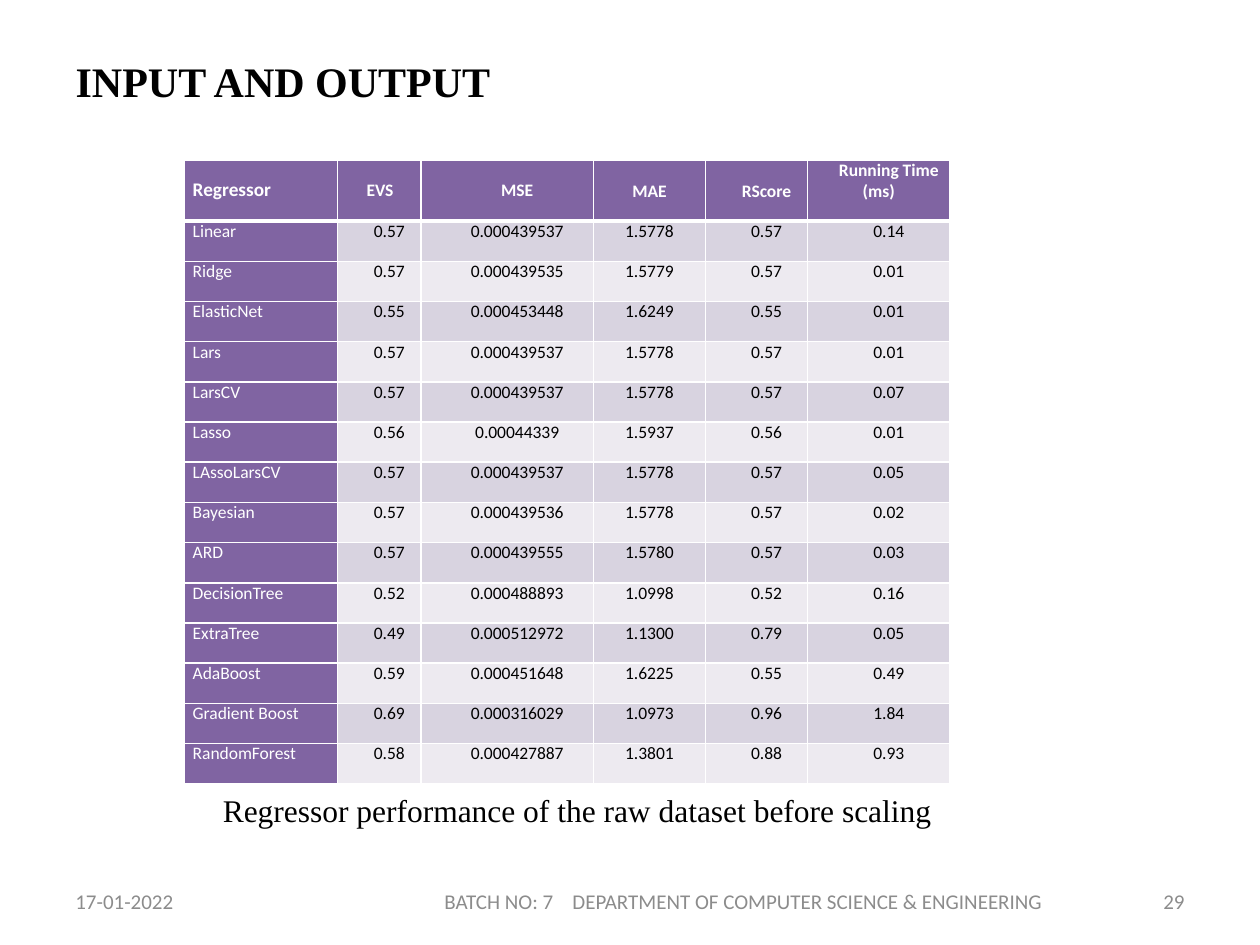
from dataclasses import dataclass

from lxml import etree
from pptx import Presentation
from pptx import util as u
from pptx.dml.color import RGBColor
from pptx.enum import text
from pptx.oxml.ns import qn

LEFT, CENTER, RIGHT = text.PP_ALIGN.LEFT, text.PP_ALIGN.CENTER, text.PP_ALIGN.RIGHT
TOP, MIDDLE = text.MSO_ANCHOR.TOP, text.MSO_ANCHOR.MIDDLE


@dataclass(frozen=True)
class Theme:
    """Colours, fonts and type sizes of the slide."""
    serif: str = "Times New Roman"
    sans: str = "Calibri"
    ink: str = "000000"
    grey: str = "8C8C8C"
    white: str = "FFFFFF"
    accent: str = "8064A2"
    bands: tuple = ("D8D3E0", "EDEAF0")
    title: int = 24
    caption: int = 18
    footer: int = 12
    head: int = 11
    body: int = 10


T = Theme()
WIDTH, HEIGHT = u.Inches(10), u.Inches(7.5)
COLUMNS = (1.22, 0.66, 1.37, 0.89, 0.81, 1.13)
HEAD_SHARE = 0.097
INDENTS = (-0.01, 0.16, 0.16, -0.01, 0.16, 0.16)
HEADERS = ("Regressor", "EVS", "MSE", "MAE", "RScore", "Running Time (ms)")
ROWS = (
    ("Linear", "0.57", "0.000439537", "1.5778", "0.57", "0.14"),
    ("Ridge", "0.57", "0.000439535", "1.5779", "0.57", "0.01"),
    ("ElasticNet", "0.55", "0.000453448", "1.6249", "0.55", "0.01"),
    ("Lars", "0.57", "0.000439537", "1.5778", "0.57", "0.01"),
    ("LarsCV", "0.57", "0.000439537", "1.5778", "0.57", "0.07"),
    ("Lasso", "0.56", "0.00044339", "1.5937", "0.56", "0.01"),
    ("LAssoLarsCV", "0.57", "0.000439537", "1.5778", "0.57", "0.05"),
    ("Bayesian", "0.57", "0.000439536", "1.5778", "0.57", "0.02"),
    ("ARD", "0.57", "0.000439555", "1.5780", "0.57", "0.03"),
    ("DecisionTree", "0.52", "0.000488893", "1.0998", "0.52", "0.16"),
    ("ExtraTree", "0.49", "0.000512972", "1.1300", "0.79", "0.05"),
    ("AdaBoost", "0.59", "0.000451648", "1.6225", "0.55", "0.49"),
    ("Gradient Boost", "0.69", "0.000316029", "1.0973", "0.96", "1.84"),
    ("RandomForest", "0.58", "0.000427887", "1.3801", "0.88", "0.93"),
)


def box(x, y, w, h):
    """Turn shares of the slide into a left, top, width, height box."""
    return int(x * WIDTH), int(y * HEIGHT), int(w * WIDTH), int(h * HEIGHT)


def style(p, font, size, color, bold=False, align=LEFT):
    """Format a paragraph and its font."""
    p.alignment = align
    f = p.font
    f.name, f.size, f.bold = font, u.Pt(size), bold
    f.color.rgb = RGBColor.from_string(color)


def add_title(s, area, words):
    """Place the title placeholder in its box."""
    sp = s.shapes.title
    sp.left, sp.top, sp.width, sp.height = area
    tf = sp.text_frame
    tf.text, tf.vertical_anchor, tf.word_wrap = words, TOP, True
    tf.auto_size = text.MSO_AUTO_SIZE.NONE
    style(tf.paragraphs[0], T.serif, T.title, T.ink, True)


def add_text(s, area, words, font, size, color, align=LEFT, anchor=TOP):
    """Add a wrapped one-paragraph text box and return its paragraph."""
    tf = s.shapes.add_textbox(*area).text_frame
    tf.word_wrap, tf.vertical_anchor = True, anchor
    p = tf.paragraphs[0]
    p.text = words
    style(p, font, size, color, align=align)
    return p


def add_footer(s, area):
    """Place date, department and page number along the footer band."""
    x, y, w, h = area
    look = dict(font=T.sans, size=T.footer, color=T.grey, anchor=MIDDLE)
    side = int(0.26 * w)
    add_text(s, (x, y, side, h), "17-01-2022", **look)
    p = add_text(s, (x + int(0.324 * w), y, int(0.552 * w), h), "BATCH NO: 7",
                 align=CENTER, **look)
    gap = p.add_run()
    gap.text = " "
    gap._r.get_or_add_rPr().set("spc", "810")
    p.add_run().text = "DEPARTMENT OF COMPUTER SCIENCE & ENGINEERING"
    add_text(s, (x + w - side, y, side, h), "29", align=RIGHT, **look)


def set_borders(cell, bottom):
    """Draw white borders, with the given width at the bottom."""
    tc_pr = cell._tc.get_or_add_tcPr()
    for i, (tag, width) in enumerate((("lnL", 1), ("lnR", 1), ("lnT", 1), ("lnB", bottom))):
        ln = etree.Element(qn("a:" + tag), w=str(u.Pt(width)))
        fill = etree.SubElement(ln, qn("a:solidFill"))
        etree.SubElement(fill, qn("a:srgbClr"), val=T.white)
        tc_pr.insert(i, ln)


def fill_cell(cell, words, row, col):
    """Write and format one table cell by its row and column."""
    head, label = row == 0, col == 0
    strong = head or label
    cell.margin_left = cell.margin_right = u.Inches(0.07)
    cell.margin_top = u.Pt(12) if head and col in (3, 4) else 0
    cell.margin_bottom = 0
    cell.vertical_anchor = MIDDLE if head and col < 3 else TOP
    cell.fill.solid()
    cell.fill.fore_color.rgb = RGBColor.from_string(
        T.accent if strong else T.bands[(row - 1) % 2])
    set_borders(cell, 3 if head else 1)
    p = cell.text_frame.paragraphs[0]
    p.text = words
    p.line_spacing = u.Pt(12)
    p._p.get_or_add_pPr().set("indent", str(u.Inches(INDENTS[col])))
    left = label or (head and col == 1)
    style(p, T.sans, T.head if head and label else T.body,
          T.white if strong else T.ink, head, LEFT if left else CENTER)


def add_results(s, area):
    """Add the table of regressor scores in its box."""
    x, y, w, h = area
    data = (HEADERS, *ROWS)
    table = s.shapes.add_table(len(data), len(HEADERS), x, y, w, h).table
    for column, part in zip(table.columns, COLUMNS):
        column.width = int(w * part / sum(COLUMNS))
    head = int(h * HEAD_SHARE)
    for i, words in enumerate(data):
        table.rows[i].height = (h - head) // len(ROWS) if i else head
        for j, word in enumerate(words):
            fill_cell(table.cell(i, j), word, i, j)


def main():
    """Build the slide and save it."""
    prs = Presentation()
    prs.slide_width, prs.slide_height = WIDTH, HEIGHT
    s = prs.slides.add_slide(prs.slide_layouts[5])
    add_title(s, box(0.05, 0.052, 0.9, 0.167), "INPUT AND OUTPUT")
    add_footer(s, box(0.05, 0.927, 0.9, 0.053))
    add_results(s, box(0.146, 0.17, 0.608, 0.66))
    add_text(s, box(0.167, 0.83, 0.644, 0.053),
             "Regressor performance of the raw dataset before scaling",
             T.serif, T.caption, T.ink)
    prs.save("out.pptx")


if __name__ == "__main__":
    main()
